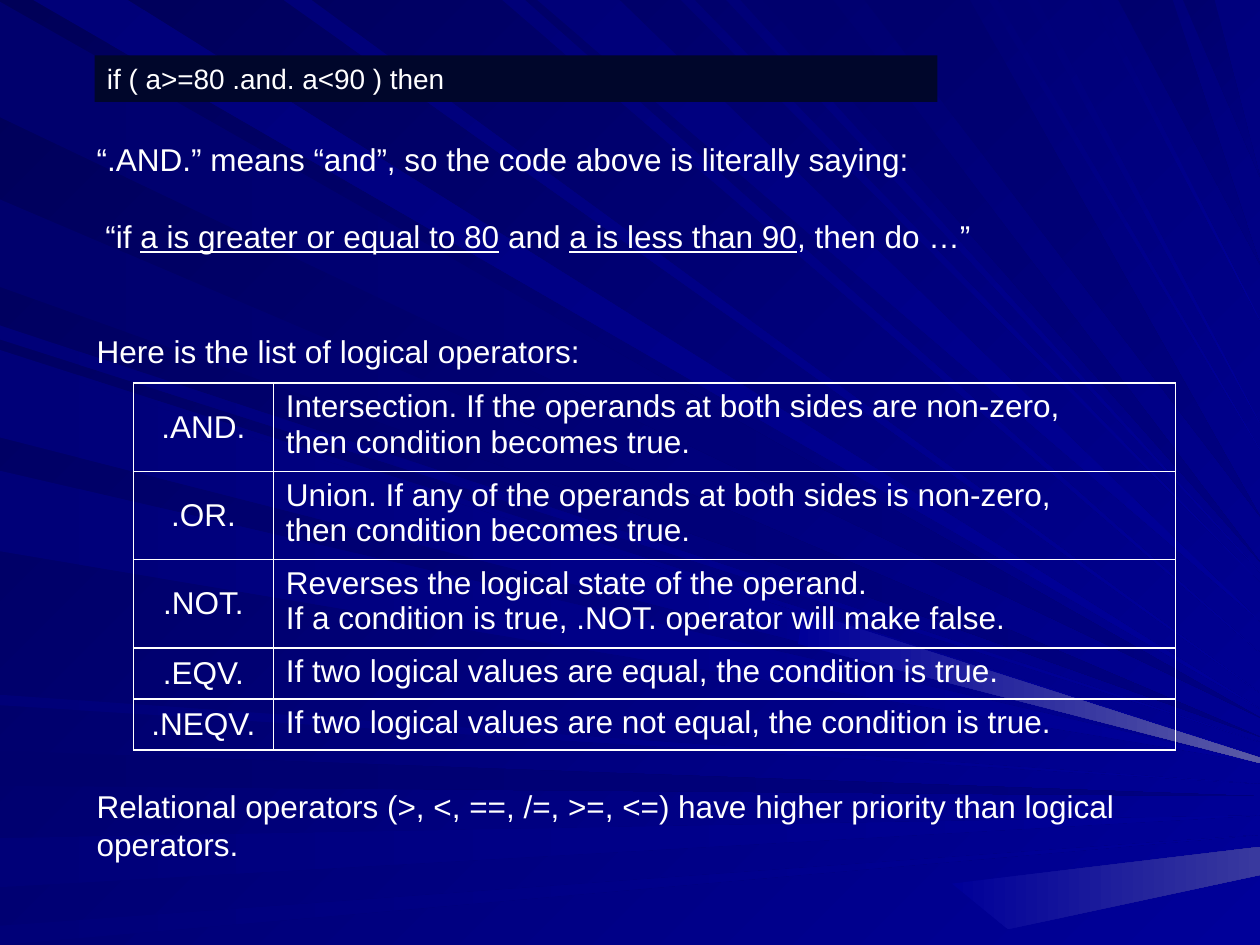
from lxml import etree
from pptx import Presentation
from pptx.dml.color import RGBColor
from pptx.enum.shapes import MSO_SHAPE
from pptx.enum.text import MSO_ANCHOR, PP_ALIGN
from pptx.oxml.ns import qn
from pptx.util import Pt

RECTANGLE = MSO_SHAPE.RECTANGLE
MIDDLE, TOP = MSO_ANCHOR.MIDDLE, MSO_ANCHOR.TOP
LEFT, CENTER = PP_ALIGN.LEFT, PP_ALIGN.CENTER

WHITE = RGBColor.from_string("FFFFFF")
CODE_BACK = RGBColor.from_string("00062B")
DARK = RGBColor.from_string("000058")
DEEP = RGBColor.from_string("00006D")
DIM = RGBColor.from_string("000078")
MID = RGBColor.from_string("000080")
BRIGHT = RGBColor.from_string("000099")
DULL_GLOW = RGBColor.from_string("39399E")
PALE_GLOW = RGBColor.from_string("5A5AA6")

WIDTH, HEIGHT = 720, 540

LEFT_DARK = [(1, 67, 410), (429, 449, 455), (114, 164, 421)]
LEFT_BRIGHT = [
    (479, 507, 466), (529, 540, 477), (186, 194, 424), (200, 246, 432),
    (269, 315, 436), (397, 403, 448), (204, 250, 434),
]
TOP_BRIGHT = [
    (19, 73, 405), (287, 300, 373), (307, 354, 355), (389, 397, 333), (162, 178, 396),
    (415, 423, 327), (565, 570, 257), (587, 593, 242), (623, 628, 183),
]
TOP_DARK = [(436, 476, 321), (639, 670, 151), (676, 694, 101), (494, 554, 295)]

GLOWS = [
    (PALE_GLOW, [(459, 349), (WIDTH, 433), (WIDTH, 436), (456, 368)]),
    (DULL_GLOW, [(WIDTH, 500), (WIDTH, 484), (544, 505), (576, 531)]),
]

EXPLANATION = [
    (0, [("“.AND.” means “and”, so the code above is literally saying:", False)]),
    (22.7, [
        (" “if ", False),
        ("a is greater or equal to 80", True),
        (" and ", False),
        ("a is less than 90", True),
        (", then do …”", False),
    ]),
    (43.9, [("Here is the list of logical operators:", False)]),
    (238.7, [("Relational operators (>, <, ==, /=, >=, <=) have higher priority than logical operators.", False)]),
]

OPERATORS = [
    (".AND.", "Intersection. If the operands at both sides are non-zero,\nthen condition becomes true."),
    (".OR.", "Union. If any of the operands at both sides is non-zero,\nthen condition becomes true."),
    (".NOT.", "Reverses the logical state of the operand.\nIf a condition is true, .NOT. operator will make false."),
    (".EQV.", "If two logical values are equal, the condition is true."),
    (".NEQV.", "If two logical values are not equal, the condition is true."),
]


class LessonSlide:
    font_format = {"name": "Arial", "size": Pt(18), "bold": False}

    def __init__(self, slide):
        self.slide = slide
        self.shapes = slide.shapes

    def format_font(self, font, **changes):
        for attribute, value in {**self.font_format, **changes}.items():
            setattr(font, attribute, value)
        font.color.rgb = WHITE

    def paint(self, fill, start, end, angle):
        fill.gradient()
        fill.gradient_angle = (360 - angle) % 360
        for stop, color in zip(fill.gradient_stops, (start, end)):
            stop.color.rgb = color

    def background(self, start, end, angle):
        self.paint(self.slide.background.fill, start, end, angle)

    def beam(self, start, end, angle, corners):
        corners = [(Pt(x), Pt(y)) for x, y in corners]
        builder = self.shapes.build_freeform(*corners[0])
        builder.add_line_segments(corners[1:], close=True)
        beam = builder.convert_to_shape()
        beam.shadow.inherit = False
        beam.line.fill.background()
        self.paint(beam.fill, start, end, angle)

    def left_rays(self, start, end, rays):
        for upper, lower, tip in rays:
            self.beam(start, end, 0, [(0, upper), (0, lower), (WIDTH, tip)])

    def top_rays(self, start, end, rays):
        for near, far, tip in rays:
            self.beam(start, end, 45, [(near, 0), (far, 0), (WIDTH, tip)])

    def code(self, text, left, top, width, height):
        bar = self.shapes.add_shape(RECTANGLE, Pt(left), Pt(top), Pt(width), Pt(height))
        bar.shadow.inherit = False
        bar.line.fill.background()
        bar.fill.solid()
        bar.fill.fore_color.rgb = CODE_BACK
        bar.text_frame.text = text
        line = bar.text_frame.paragraphs[0]
        line.alignment = LEFT
        self.format_font(line.runs[0].font, size=Pt(16))

    def text(self, passages, left, top, width, height):
        frame = self.shapes.add_textbox(Pt(left), Pt(top), Pt(width), Pt(height)).text_frame
        frame.word_wrap = True
        for index, (gap, pieces) in enumerate(passages):
            passage = frame.add_paragraph() if index else frame.paragraphs[0]
            passage.space_before = Pt(gap)
            for words, underlined in pieces:
                run = passage.add_run()
                run.text = words
                self.format_font(run.font, underline=underlined)

    def border(self, cell):
        properties = cell._tc.get_or_add_tcPr()
        for side in ("lnL", "lnR", "lnT", "lnB"):
            edge = etree.SubElement(properties, qn(f"a:{side}"), w=str(Pt(1)))
            fill = etree.SubElement(edge, qn("a:solidFill"))
            etree.SubElement(fill, qn("a:srgbClr"), val=str(WHITE))

    def table(self, rows, left, top, widths, line_heights):
        heights = [line_heights[description.count("\n")] for _, description in rows]
        grid = self.shapes.add_table(
            len(rows), len(widths), Pt(left), Pt(top), Pt(sum(widths)), Pt(sum(heights))
        ).table
        grid.first_row = grid.horz_banding = False
        for column, width in zip(grid.columns, widths):
            column.width = Pt(width)
        for row, height, texts in zip(grid.rows, heights, rows):
            row.height = Pt(height)
            for cell, text, anchor, alignment in zip(row.cells, texts, (MIDDLE, TOP), (CENTER, LEFT)):
                self.border(cell)
                cell.fill.background()
                cell.vertical_anchor = anchor
                cell.text_frame.text = text
                for paragraph in cell.text_frame.paragraphs:
                    paragraph.alignment = alignment
                    self.format_font(paragraph.runs[0].font)


def main():
    presentation = Presentation()
    presentation.slide_width, presentation.slide_height = Pt(WIDTH), Pt(HEIGHT)
    lesson = LessonSlide(presentation.slides.add_slide(presentation.slide_layouts[6]))
    lesson.background(DARK, BRIGHT, 45)
    lesson.left_rays(DEEP, MID, LEFT_DARK)
    lesson.left_rays(DIM, BRIGHT, LEFT_BRIGHT)
    lesson.top_rays(DIM, BRIGHT, TOP_BRIGHT)
    lesson.top_rays(DEEP, MID, TOP_DARK)
    for glow, corners in GLOWS:
        lesson.beam(BRIGHT, glow, 0, corners)
    lesson.code("if ( a>=80 .and. a<90 ) then", 54, 31.7, 481.7, 26.6)
    lesson.text(EXPLANATION, 48.2, 76.3, 648, 356.4)
    lesson.table(OPERATORS, 76.3, 218.9, (79.9, 515.5), (29.2, 50.4))
    presentation.save("out.pptx")


if __name__ == "__main__":
    main()
